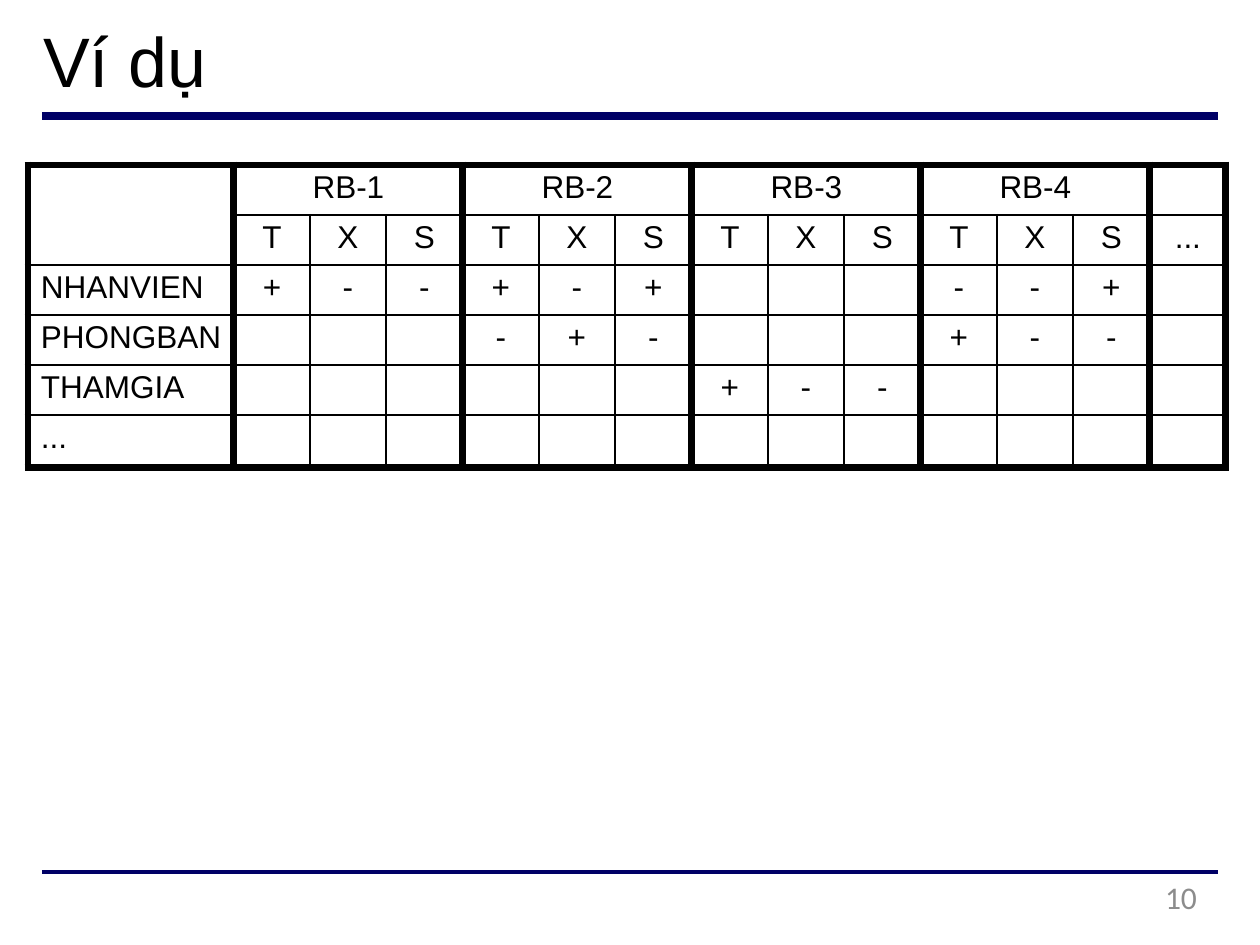
from dataclasses import dataclass

import pptx
import pptx.dml.color
import pptx.enum.shapes
import pptx.enum.text
import pptx.oxml
import pptx.oxml.ns
import pptx.util
from lxml import etree

PX_PER_INCH = 126
BLACK = pptx.dml.color.RGBColor(0x00, 0x00, 0x00)
NAVY = pptx.dml.color.RGBColor(0x00, 0x00, 0x66)
GRAY = pptx.dml.color.RGBColor(0x8C, 0x8C, 0x8C)
LEFT = pptx.enum.text.PP_ALIGN.LEFT
CENTER = pptx.enum.text.PP_ALIGN.CENTER
RIGHT = pptx.enum.text.PP_ALIGN.RIGHT
THICK, THIN = 4.5, 1.5


@dataclass(frozen=True)
class Rule:
    y: int
    weight: float


@dataclass(frozen=True)
class Label:
    text: str
    left: int
    top: int
    width: int
    height: int
    size: int
    font: str
    color: pptx.dml.color.RGBColor
    align: pptx.enum.text.PP_ALIGN


RULES = [Rule(116, 4.5), Rule(872, 2.25)]
LABELS = [
    Label("Ví dụ", 43, 17, 1112, 85, 40, "Arial", BLACK, LEFT),
    Label("10", 907, 878, 290, 48, 18, "Calibri", GRAY, RIGHT),
]

# Influence table: four constraints, each with T / X / S, then a closing column
CONSTRAINTS = ["RB-1", "RB-2", "RB-3", "RB-4"]
OPERATIONS = ["T", "X", "S"]
RELATIONS = {
    "NHANVIEN": ["+--", "+-+", "", "--+"],
    "PHONGBAN": ["", "-+-", "", "+--"],
    "THAMGIA": ["", "", "+--", ""],
    "...": ["", "", "", ""],
}
GROUP = len(OPERATIONS)
COLUMN_WIDTHS = [206] + [76, 76, 77] * len(CONSTRAINTS) + [76]
ROW_HEIGHTS = [50] * 5 + [53]
LAST_COLUMN = len(COLUMN_WIDTHS) - 1
THICK_COLUMN_EDGES = {0, *range(1, LAST_COLUMN + 1, GROUP), LAST_COLUMN + 1}
THICK_ROW_EDGES = {0, len(ROW_HEIGHTS)}


def px(length: int) -> int:
    return pptx.util.Emu(round(length * 914400 / PX_PER_INCH))


def write(frame, text: str, *, size: int = 18, font: str = "Arial",
          color=BLACK, align=CENTER, left: int = 0, top: int = 0) -> None:
    frame.margin_left, frame.margin_top = px(left), px(top)
    frame.margin_right = frame.margin_bottom = 0
    frame.word_wrap = True
    paragraph = frame.paragraphs[0]
    paragraph.alignment = align
    if text:
        paragraph.add_run().text = text
    paragraph.font.size = pptx.util.Pt(size)
    for run in paragraph.runs:
        run.font.size = pptx.util.Pt(size)
        run.font.name = font
        run.font.color.rgb = color


def draw_label(slide, label: Label) -> None:
    box = slide.shapes.add_textbox(
        px(label.left), px(label.top), px(label.width), px(label.height))
    write(box.text_frame, label.text, size=label.size, font=label.font,
          color=label.color, align=label.align)


def draw_rule(slide, rule: Rule) -> None:
    line = slide.shapes.add_connector(
        pptx.enum.shapes.MSO_CONNECTOR.STRAIGHT,
        px(42), px(rule.y), px(1218), px(rule.y))
    line.line.color.rgb = NAVY
    line.line.width = pptx.util.Pt(rule.weight)
    etree.SubElement(line._element.spPr, pptx.oxml.ns.qn("a:effectLst"))


def set_borders(cell, row: int, column: int) -> None:
    right = column + (cell.span_width if cell.is_merge_origin else 1)
    bottom = row + (cell.span_height if cell.is_merge_origin else 1)
    sides = {
        "L": column in THICK_COLUMN_EDGES,
        "R": right in THICK_COLUMN_EDGES,
        "T": row in THICK_ROW_EDGES,
        "B": bottom in THICK_ROW_EDGES,
    }
    properties = cell._tc.get_or_add_tcPr()
    for side, heavy in sides.items():
        width = pptx.util.Pt(THICK if heavy else THIN)
        properties.append(pptx.oxml.parse_xml(
            f'<a:ln{side} {pptx.oxml.ns.nsdecls("a")} w="{width}">'
            f'<a:solidFill><a:srgbClr val="{BLACK}"/></a:solidFill></a:ln{side}>'))


def table_rows() -> list[list[str]]:
    heading = [""]
    for constraint in CONSTRAINTS:
        heading += [constraint] + [""] * (GROUP - 1)
    rows = [heading + [""], [""] + OPERATIONS * len(CONSTRAINTS) + ["..."]]
    for relation, effects in RELATIONS.items():
        marks = "".join(effect.ljust(GROUP) for effect in effects)
        rows.append([relation] + [mark.strip() for mark in marks] + [""])
    return rows


def draw_table(slide) -> None:
    table = slide.shapes.add_table(
        len(ROW_HEIGHTS), len(COLUMN_WIDTHS), px(28), px(165),
        px(sum(COLUMN_WIDTHS)), px(sum(ROW_HEIGHTS))).table
    table.first_row = table.horz_banding = False
    for column, width in zip(table.columns, COLUMN_WIDTHS):
        column.width = px(width)
    for row, height in zip(table.rows, ROW_HEIGHTS):
        row.height = px(height)

    # Heading spans
    table.cell(0, 0).merge(table.cell(1, 0))
    for start in range(1, LAST_COLUMN, GROUP):
        table.cell(0, start).merge(table.cell(0, start + GROUP - 1))

    for r, texts in enumerate(table_rows()):
        for c, text in enumerate(texts):
            cell = table.cell(r, c)
            if cell.is_spanned:
                continue
            set_borders(cell, r, c)
            cell.fill.background()
            write(cell.text_frame, text, align=CENTER if c else LEFT)
            cell.margin_left = px(0 if c else 13)
            cell.margin_top = px(5)
            cell.margin_right = cell.margin_bottom = 0


def main() -> None:
    presentation = pptx.Presentation()
    presentation.slide_width = px(1260)
    presentation.slide_height = px(945)
    slide = presentation.slides.add_slide(presentation.slide_layouts[6])

    # Rules above and below the content
    for rule in RULES:
        draw_rule(slide, rule)
    draw_table(slide)
    # Title and page number
    for label in LABELS:
        draw_label(slide, label)
    presentation.save("out.pptx")


if __name__ == "__main__":
    main()
